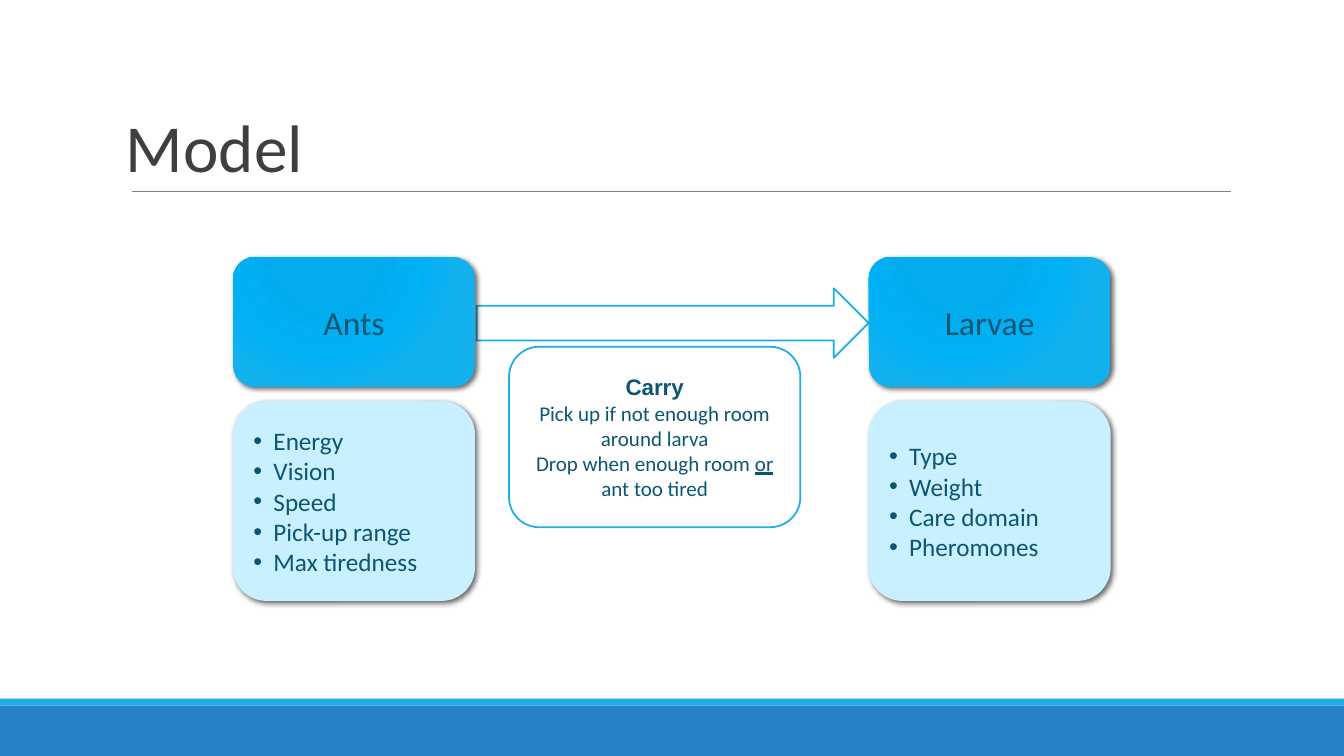
from dataclasses import dataclass, field
from typing import Any, Optional

import lxml.etree
import pptx
import pptx.dml.color
import pptx.enum.shapes
import pptx.enum.text
import pptx.oxml
import pptx.oxml.ns
import pptx.util

Pt = pptx.util.Pt
MSO = pptx.enum.shapes.MSO_SHAPE
ALIGN = pptx.enum.text.PP_ALIGN
ANCHOR = pptx.enum.text.MSO_ANCHOR
qn = pptx.oxml.ns.qn
NS = 'xmlns:a="http://schemas.openxmlformats.org/drawingml/2006/main"'

BLUE, DEEP, PALE, INK, WHITE = "1CADE4", "2683C6", "C9F0FF", "0D5672", "FFFFFF"
GLOW = ((0, "00ACEE"), (34, "02ACED"), (70, "00B0F5"), (100, "12B1EE"))
INDENT = 14.4


@dataclass
class Run:
    text: str
    size: float
    color: str = INK
    font: str = "Calibri"
    bold: bool = False
    underline: bool = False


@dataclass
class Box:
    left: float
    top: float
    width: float
    height: float
    kind: Any = MSO.ROUNDED_RECTANGLE
    fill: str = WHITE
    line: Optional[str] = None
    glow: bool = False
    shadow: bool = False
    bullets: bool = False
    paras: list[list[Run]] = field(default_factory=list)


def rgb(value: str) -> pptx.dml.color.RGBColor:
    return pptx.dml.color.RGBColor.from_string(value)


def write(tf: Any, paras: list[list[Run]], align: Any, bullets: bool = False) -> None:
    tf.word_wrap = True
    for i, runs in enumerate(paras):
        p = tf.paragraphs[0] if i == 0 else tf.add_paragraph()
        p.alignment = align
        if bullets:
            pPr = p._p.get_or_add_pPr()
            pPr.set("marL", str(Pt(INDENT)))
            pPr.set("indent", str(-Pt(INDENT)))
            lxml.etree.SubElement(pPr, qn("a:buFont")).set("typeface", "Arial")
            lxml.etree.SubElement(pPr, qn("a:buChar")).set("char", "•")
        for run in runs:
            r = p.add_run()
            r.text = run.text
            fmt = {"name": run.font, "size": Pt(run.size), "bold": run.bold, "underline": run.underline}
            for name, value in fmt.items():
                setattr(r.font, name, value)
            r.font.color.rgb = rgb(run.color)


def add_glow(sp: Any) -> None:
    stops = "".join(f'<a:gs pos="{pos * 1000}"><a:srgbClr val="{c}"/></a:gs>' for pos, c in GLOW)
    grad = pptx.oxml.parse_xml(
        f'<a:gradFill {NS} rotWithShape="1"><a:gsLst>{stops}</a:gsLst><a:path path="circle">'
        '<a:fillToRect l="38000" t="-20000" r="62000" b="120000"/></a:path></a:gradFill>')
    spPr = sp._element.spPr
    spPr.replace(spPr.find(qn("a:solidFill")), grad)


def add_shadow(sp: Any) -> None:
    sp._element.spPr.find(qn("a:effectLst")).append(pptx.oxml.parse_xml(
        f'<a:outerShdw {NS} blurRad="{Pt(4)}" dist="{Pt(2)}" dir="2700000" rotWithShape="0">'
        '<a:srgbClr val="000000"><a:alpha val="60000"/></a:srgbClr></a:outerShdw>'))


def draw(s: Any, box: Box) -> None:
    sp = s.shapes.add_shape(box.kind, Pt(box.left), Pt(box.top), Pt(box.width), Pt(box.height))
    sp.shadow.inherit = False
    sp.fill.solid()
    sp.fill.fore_color.rgb = rgb(box.fill)
    if box.line:
        sp.line.color.rgb = rgb(box.line)
        sp.line.width = Pt(1.25)
    else:
        sp.line.fill.background()
    if box.glow:
        add_glow(sp)
    if box.shadow:
        add_shadow(sp)
    if box.paras:
        tf = sp.text_frame
        fmt = {"margin_left": Pt(7.5), "margin_right": Pt(7.5), "margin_top": Pt(3.6),
               "margin_bottom": Pt(3.6), "vertical_anchor": ANCHOR.MIDDLE}
        for name, value in fmt.items():
            setattr(tf, name, value)
        write(tf, box.paras, ALIGN.LEFT if box.bullets else ALIGN.CENTER, box.bullets)


def add_title(s: Any, text: str) -> None:
    tf = s.shapes.add_textbox(Pt(86.4), Pt(22.3), Pt(792), Pt(114.5)).text_frame
    for side in ("left", "right", "top", "bottom"):
        setattr(tf, f"margin_{side}", Pt(3.6))
    tf.vertical_anchor = ANCHOR.BOTTOM
    write(tf, [[Run(text, 48, "3F3F3F")]], ALIGN.LEFT)
    tf.paragraphs[0].line_spacing = 0.85


def add_rule(s: Any) -> None:
    ln = s.shapes.add_connector(pptx.enum.shapes.MSO_CONNECTOR.STRAIGHT,
                                Pt(94.3), Pt(136.8), Pt(879.1), Pt(136.8))
    ln.line.color.rgb = rgb("7F7F7F")
    ln.line.width = Pt(0.75)
    lxml.etree.SubElement(ln._element.spPr, qn("a:effectLst"))


def agent(left: float, name: str, traits: list[str]) -> list[Box]:
    return [
        Box(left, 183.6, 172.8, 92.9, glow=True, shadow=True, paras=[[Run(name, 24)]]),
        Box(left, 286.6, 172.8, 142.6, fill=PALE, shadow=True, bullets=True,
            paras=[[Run(trait, 18)] for trait in traits]),
    ]


def main() -> None:
    prs = pptx.Presentation()
    prs.slide_width, prs.slide_height = Pt(960), Pt(540)
    s = prs.slides.add_slide(prs.slide_layouts[6])
    carry = [
        [Run("Carry", 16, font="Arial", bold=True)],
        [Run("Pick up if not enough room around larva", 15)],
        [Run("Drop when enough room ", 15), Run("or", 15, underline=True), Run(" ant too tired", 15)],
    ]
    boxes = [
        Box(0, 504, 960, 36, MSO.RECTANGLE, DEEP),
        Box(0, 499, 960, 5, MSO.RECTANGLE, BLUE),
        Box(340.5, 205.9, 280, 49.7, MSO.RIGHT_ARROW, line=BLUE),
        *agent(166.5, "Ants", ["Energy", "Vision", "Speed", "Pick-up range", "Max tiredness"]),
        *agent(620.6, "Larvae", ["Type", "Weight", "Care domain", "Pheromones"]),
        Box(363.6, 247.7, 208.1, 128.9, line=BLUE, paras=carry),
    ]
    add_rule(s)
    add_title(s, "Model")
    for box in boxes:
        draw(s, box)
    prs.save("out.pptx")


if __name__ == "__main__":
    main()
